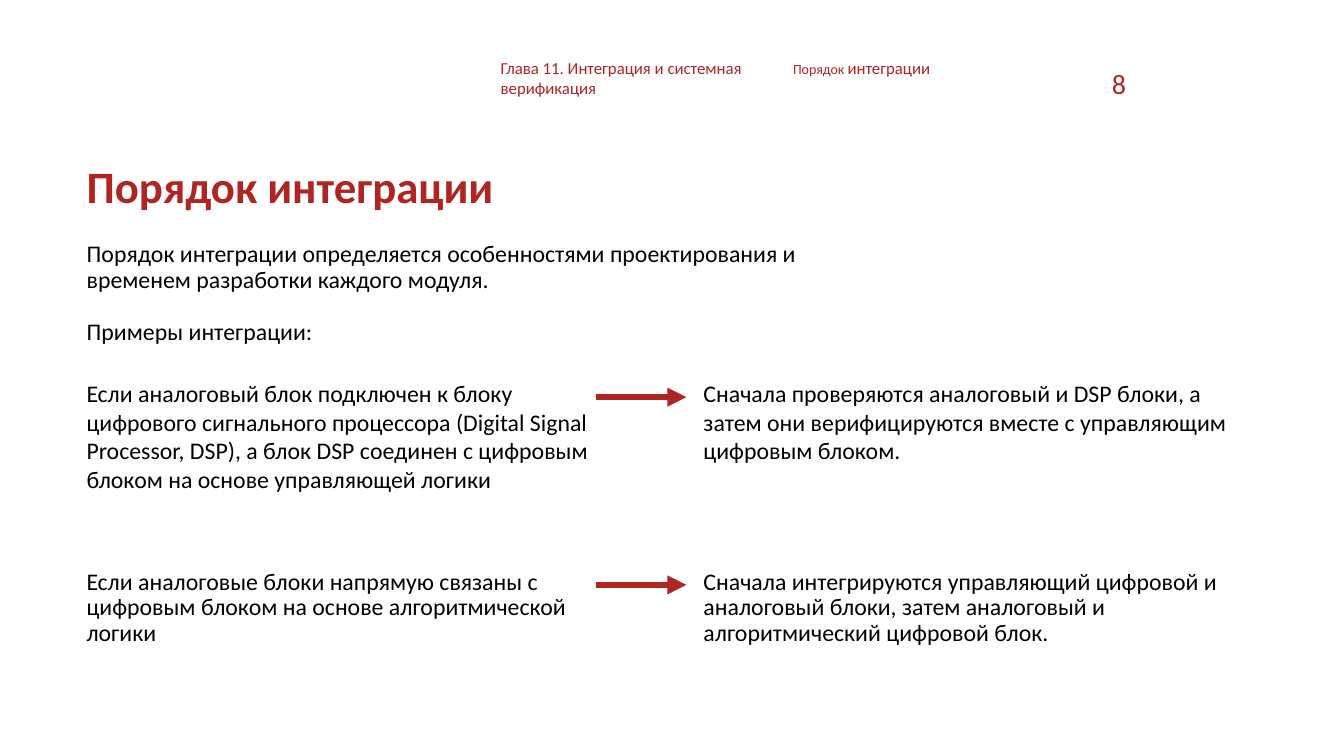
from dataclasses import dataclass

from lxml import etree
from pptx import Presentation
from pptx import util as u
from pptx.dml.color import RGBColor
from pptx.enum import shapes, text
from pptx.oxml import ns


@dataclass(frozen=True)
class Theme:
    font: str = "Calibri"
    accent: RGBColor = RGBColor(0xB0, 0x25, 0x21)
    ink: RGBColor = RGBColor(0, 0, 0)
    title: int = 32
    number: int = 20
    body: int = 17
    header: int = 12
    small: int = 10
    arrow: float = 4.5


class SlideBuilder:
    def __init__(self, presentation, theme):
        self.theme = theme
        self.slide = presentation.slides.add_slide(presentation.slide_layouts[1])

    def place(self, shape, box):
        shape.left, shape.top, shape.width, shape.height = map(u.Pt, box)

    def format_frame(self, shape, anchor=text.MSO_ANCHOR.TOP, inset=3.6):
        frame = shape.text_frame
        frame.word_wrap = True
        frame.auto_size = text.MSO_AUTO_SIZE.NONE
        frame.vertical_anchor = anchor
        frame.margin_left = frame.margin_right = u.Pt(7.2)
        frame.margin_top = frame.margin_bottom = u.Pt(inset)
        return frame

    def format_font(self, font, size, color, bold=False):
        font.name = self.theme.font
        font.size = u.Pt(size)
        font.color.rgb = color
        font.bold = bold

    def title(self, box, words):
        shape = self.slide.shapes.title
        self.place(shape, box)
        frame = self.format_frame(shape, text.MSO_ANCHOR.MIDDLE)
        frame.text = words
        paragraph = frame.paragraphs[0]
        paragraph.alignment = text.PP_ALIGN.LEFT
        paragraph.line_spacing = 0.9
        self.format_font(paragraph.font, self.theme.title, self.theme.accent, True)

    def body(self, box, lines, gap):
        shape = self.slide.placeholders[1]
        self.place(shape, box)
        frame = self.format_frame(shape)
        frame.text = "\n".join(lines)
        for index, paragraph in enumerate(frame.paragraphs):
            paragraph.line_spacing = 0.9
            paragraph.space_before = u.Pt(gap if index else 0)
            self.format_font(paragraph.font, self.theme.body, self.theme.ink)
            properties = paragraph._p.get_or_add_pPr()
            properties.set("marL", "0")
            properties.set("indent", "0")
            bullet = etree.Element(ns.qn("a:buNone"))
            properties.insert_element_before(bullet, "a:tabLst", "a:defRPr", "a:extLst")

    def text_box(self, box, runs, color, spacing=1.0, inset=3.6,
                 anchor=text.MSO_ANCHOR.TOP, align=text.PP_ALIGN.LEFT):
        shape = self.slide.shapes.add_textbox(*map(u.Pt, box))
        paragraph = self.format_frame(shape, anchor, inset).paragraphs[0]
        paragraph.alignment = align
        paragraph.line_spacing = spacing
        for words, size in runs:
            run = paragraph.add_run()
            run.text = words
            self.format_font(run.font, size, color)

    def arrow(self, left, right, y):
        connector = self.slide.shapes.add_connector(
            shapes.MSO_CONNECTOR.STRAIGHT, u.Pt(left), u.Pt(y), u.Pt(right), u.Pt(y))
        connector.line.color.rgb = self.theme.accent
        connector.line.width = u.Pt(self.theme.arrow)
        etree.SubElement(connector.line._get_or_add_ln(), ns.qn("a:tailEnd"), type="triangle")
        etree.SubElement(connector._element.spPr, ns.qn("a:effectLst"))


def main():
    presentation = Presentation()
    presentation.slide_width, presentation.slide_height = u.Pt(960), u.Pt(540)
    theme = Theme()
    builder = SlideBuilder(presentation, theme)
    margin = 54.7

    builder.title((margin, 100.8, 836.6, 68.4), "Порядок интеграции")
    builder.text_box((350.6, 37.4, 189.4, 36),
                     [("Глава 11. Интеграция и системная верификация", theme.header)], theme.accent)
    builder.text_box((559.4, 37.4, 189.4, 21.6),
                     [("Порядок ", theme.small), ("интеграции", theme.header)], theme.accent)
    builder.text_box((785.5, 45.4, 25.9, 28.8), [("8", theme.number)], theme.accent,
                     anchor=text.MSO_ANCHOR.MIDDLE, align=text.PP_ALIGN.RIGHT)
    builder.body((margin, 169.2, 557.3, 94.3), [
        "Порядок интеграции определяется особенностями проектирования и "
        "временем разработки каждого модуля.",
        "Примеры интеграции:",
    ], gap=18.7)

    examples = [
        (263.5, 97.2, 1.0,
         "Если аналоговый блок подключен к блоку цифрового сигнального процессора "
         "(Digital Signal Processor, DSP), а блок DSP соединен с цифровым блоком "
         "на основе управляющей логики",
         "Сначала проверяются аналоговый и DSP блоки, а затем они верифицируются "
         "вместе с управляющим цифровым блоком."),
        (399.6, 69.8, 0.9,
         "Если аналоговые блоки напрямую связаны с цифровым блоком на основе "
         "алгоритмической логики",
         "Сначала интегрируются управляющий цифровой и аналоговый блоки, затем "
         "аналоговый и алгоритмический цифровой блок."),
    ]
    for top, height, spacing, condition, order in examples:
        for left, width, words in ((margin, 378, condition), (495.4, 398.9, order)):
            builder.text_box((left, top, width, height), [(words, theme.body)],
                             theme.ink, spacing, inset=7.2)
        builder.arrow(425.5, 490.3, top + 20.2 - 20 * (1 - spacing))

    presentation.save("out.pptx")


if __name__ == "__main__":
    main()
